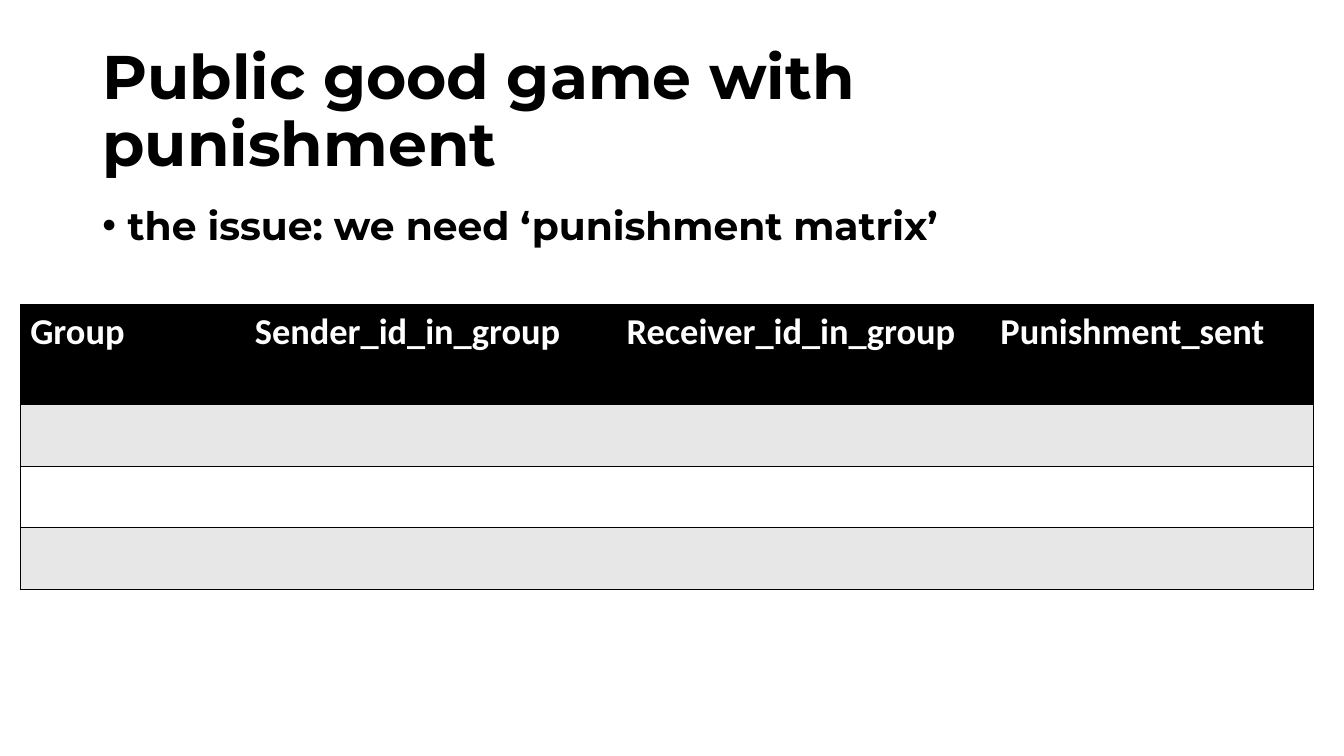
from dataclasses import dataclass

import pptx
import pptx.dml.color
import pptx.enum.text
import pptx.oxml
import pptx.oxml.ns
import pptx.util
from pptx.util import Cm


@dataclass(frozen=True)
class Theme:
    ink: str = "000000"
    paper: str = "FFFFFF"
    band: str = "E7E7E7"
    heading_font: str = "Montserrat"
    table_font: str = "Calibri"
    title_size: int = 44
    body_size: int = 28
    header_size: int = 26
    rule_width: int = 1


THEME = Theme()
HEADERS = ["Group", "Sender_id_in_group", "Receiver_id_in_group", "Punishment_sent"]
COLUMN_WIDTHS = [5.66, 9.37, 9.42, 8.15]
HEADER_HEIGHT = 2.53
ROW_HEIGHT = 1.55
EMPTY_ROWS = 3


def color(value):
    return pptx.dml.color.RGBColor.from_string(value)


def add_xml(parent, tag, position=None, **attributes):
    element = pptx.oxml.parse_xml(f"<a:{tag} {pptx.oxml.ns.nsdecls('a')}/>")
    for name, value in attributes.items():
        element.set(name, str(value))
    parent.insert(len(parent) if position is None else position, element)
    return element


def style_text(para, font, size, ink):
    for span in para.runs:
        span.font.name = font
        span.font.size = pptx.util.Pt(size)
        span.font.bold = True
        span.font.color.rgb = color(ink)


def add_text(page, text, left, top, width, height, size, anchor):
    box = page.shapes.add_textbox(Cm(left), Cm(top), Cm(width), Cm(height))
    frame = box.text_frame
    frame.word_wrap = True
    frame.vertical_anchor = anchor
    frame.text = text
    para = frame.paragraphs[0]
    para.line_spacing = 0.9
    style_text(para, THEME.heading_font, size, THEME.ink)
    return para


def add_bullet(para, indent):
    properties = para._p.get_or_add_pPr()
    properties.set("marL", str(Cm(indent)))
    properties.set("indent", str(-Cm(indent)))
    add_xml(properties, "buFont", typeface="Arial")
    add_xml(properties, "buChar", char="•")


def set_borders(cell, sides):
    """Draw the named sides and leave the others without a line."""
    properties = cell._tc.get_or_add_tcPr()
    for position, side in enumerate("LRTB"):
        line = add_xml(properties, f"ln{side}", position,
                       w=pptx.util.Pt(THEME.rule_width))
        if side in sides:
            fill = add_xml(line, "solidFill")
            add_xml(fill, "srgbClr", val=THEME.ink)
        else:
            add_xml(line, "noFill")


def add_matrix(page, left, top):
    rows = EMPTY_ROWS + 1
    columns = len(HEADERS)
    height = HEADER_HEIGHT + EMPTY_ROWS * ROW_HEIGHT
    table = page.shapes.add_table(rows, columns, Cm(left), Cm(top),
                                  Cm(sum(COLUMN_WIDTHS)), Cm(height)).table
    for column, width in zip(table.columns, COLUMN_WIDTHS):
        column.width = Cm(width)
    for index, row in enumerate(table.rows):
        row.height = Cm(ROW_HEIGHT if index else HEADER_HEIGHT)
        shade = THEME.band if index % 2 else THEME.paper
        for place, cell in enumerate(row.cells):
            cell.fill.solid()
            cell.fill.fore_color.rgb = color(shade if index else THEME.ink)
            sides = "TB" + "L" * (place == 0) + "R" * (place == columns - 1)
            set_borders(cell, sides)
    for cell, header in zip(table.rows[0].cells, HEADERS):
        cell.text_frame.text = header
        style_text(cell.text_frame.paragraphs[0], THEME.table_font,
                   THEME.header_size, THEME.paper)


def main():
    deck = pptx.Presentation()
    deck.slide_width, deck.slide_height = Cm(33.87), Cm(19.05)
    page = deck.slides.add_slide(deck.slide_layouts[6])

    # Title and statement of the issue
    anchors = pptx.enum.text.MSO_ANCHOR
    add_text(page, "Public good game with punishment", 2.33, 1.01, 29.21, 3.68,
             THEME.title_size, anchors.MIDDLE)
    issue = add_text(page, "the issue: we need ‘punishment matrix’",
                     2.33, 5.07, 29.21, 12.09, THEME.body_size, anchors.TOP)
    add_bullet(issue, 0.64)

    # Punishment matrix
    add_matrix(page, 0.51, 7.67)

    deck.save("out.pptx")


if __name__ == "__main__":
    main()
